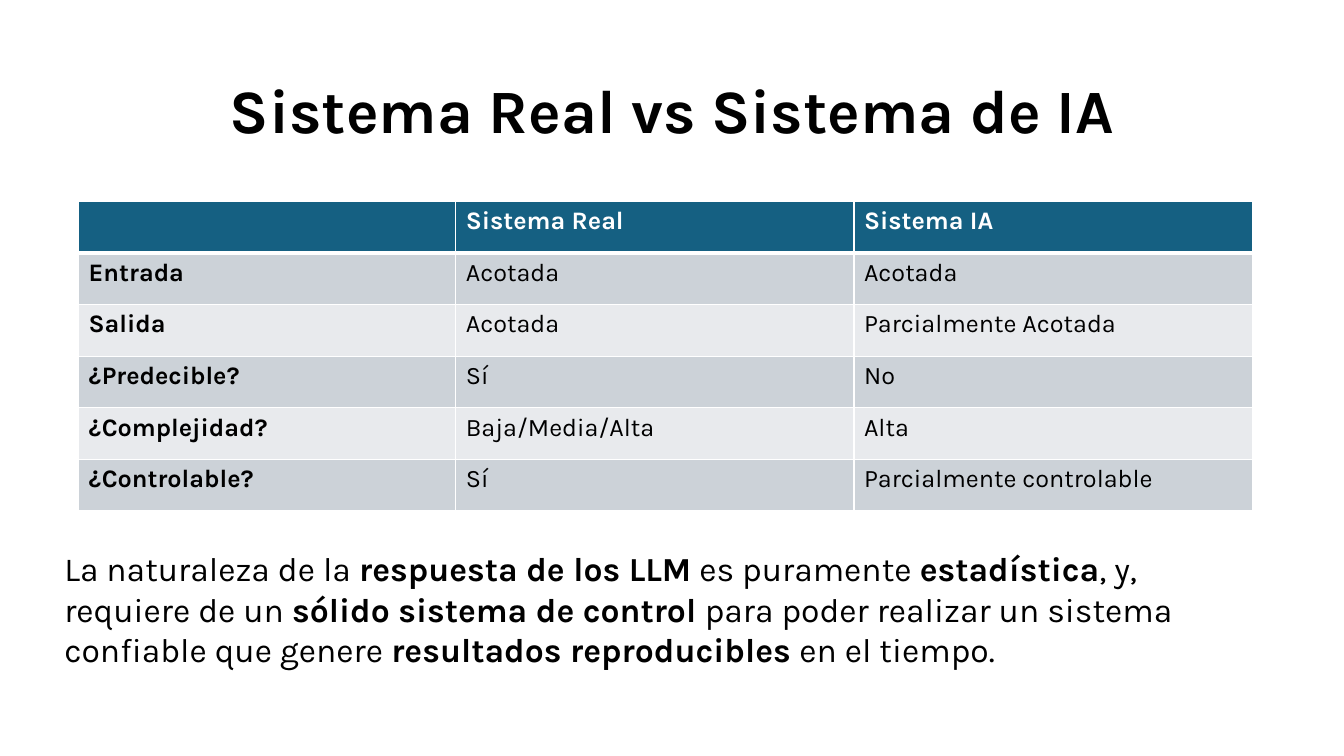
from lxml import etree
from pptx import Presentation
from pptx.dml.color import RGBColor
from pptx.enum.text import MSO_ANCHOR, PP_ALIGN
from pptx.oxml.ns import qn
from pptx.util import Inches, Pt

LEFT, CENTER = PP_ALIGN.LEFT, PP_ALIGN.CENTER
TOP, MIDDLE = MSO_ANCHOR.TOP, MSO_ANCHOR.MIDDLE
BLACK = RGBColor(0x00, 0x00, 0x00)
WHITE = RGBColor(0xFF, 0xFF, 0xFF)
TEAL = RGBColor(0x15, 0x60, 0x82)
BANDS = RGBColor(0xE8, 0xEA, 0xED), RGBColor(0xCC, 0xD2, 0xD8)

ROWS = [
    ("", "Sistema Real", "Sistema IA"),
    ("Entrada", "Acotada", "Acotada"),
    ("Salida", "Acotada", "Parcialmente Acotada"),
    ("¿Predecible?", "Sí", "No"),
    ("¿Complejidad?", "Baja/Media/Alta", "Alta"),
    ("¿Controlable?", "Sí", "Parcialmente controlable"),
]
CLAIM = [
    ("La naturaleza de la ", False),
    ("respuesta de los LLM", True),
    (" es puramente ", False),
    ("estadística", True),
    (", y, requiere de un ", False),
    ("sólido sistema de control ", True),
    ("para poder realizar un sistema confiable que genere ", False),
    ("resultados reproducibles ", True),
    ("en el tiempo.", False),
]


class Deck:
    """Draws styled elements on a slide, placed in percent of its size."""

    font = "Karla"

    def __init__(self):
        self.show = Presentation()
        self.show.slide_width = Inches(13.33)
        self.show.slide_height = Inches(7.5)
        self.slide = self.show.slides.add_slide(self.show.slide_layouts[6])

    def wide(self, share):
        return round(self.show.slide_width * share / 100)

    def high(self, share):
        return round(self.show.slide_height * share / 100)

    def place(self, left, top, width, height):
        return self.wide(left), self.high(top), self.wide(width), self.high(height)

    def style(self, item, size, color):
        item.font.name = self.font
        item.font.size = Pt(size)
        item.font.color.rgb = color

    def text(self, area, runs, size, align=LEFT, anchor=TOP, pitch=None):
        frame = self.slide.shapes.add_textbox(*self.place(*area)).text_frame
        frame.word_wrap = True
        frame.vertical_anchor = anchor
        para = frame.paragraphs[0]
        para.alignment = align
        para.line_spacing = pitch
        self.style(para, size, BLACK)
        for words, bold in runs:
            run = para.add_run()
            run.text = words
            self.style(run, size, BLACK)
            run.font.bold = bold

    def edge(self, cell, side, width):
        line = etree.SubElement(cell._tc.get_or_add_tcPr(), qn(f"a:ln{side}"), w=str(Pt(width)))
        fill = etree.SubElement(line, qn("a:solidFill"))
        etree.SubElement(fill, qn("a:srgbClr"), val=str(WHITE))

    def cell(self, cell, words, row, col):
        thick = {(0, "B"), (1, "T")}
        for side in "LRTB":
            self.edge(cell, side, 3 if (row, side) in thick else 1)
        cell.fill.solid()
        cell.fill.fore_color.rgb = BANDS[row % 2] if row else TEAL
        cell.text = words
        para = cell.text_frame.paragraphs[0]
        self.style(para, 18, BLACK if row else WHITE)
        para.font.bold = row == 0 or col == 0

    def table(self, area, rows, shares):
        frame = self.slide.shapes.add_table(len(rows), len(shares), *self.place(*area))
        grid = frame.table
        for col, share in enumerate(shares):
            grid.columns[col].width = self.wide(share)
        for row, line in enumerate(rows):
            for col, words in enumerate(line):
                self.cell(grid.cell(row, col), words, row, col)


def main():
    deck = Deck()
    deck.text((6.9, 5.33, 86.27, 19.33), [("Sistema Real vs Sistema de IA", True)],
              44, CENTER, MIDDLE, 0.9)
    deck.table((5.85, 26.67, 87.32, 40.93), ROWS, (28.06, 29.63, 29.63))
    deck.text((4.05, 71.87, 88.15, 17.47), CLAIM, 24)
    deck.show.save("out.pptx")


if __name__ == "__main__":
    main()
